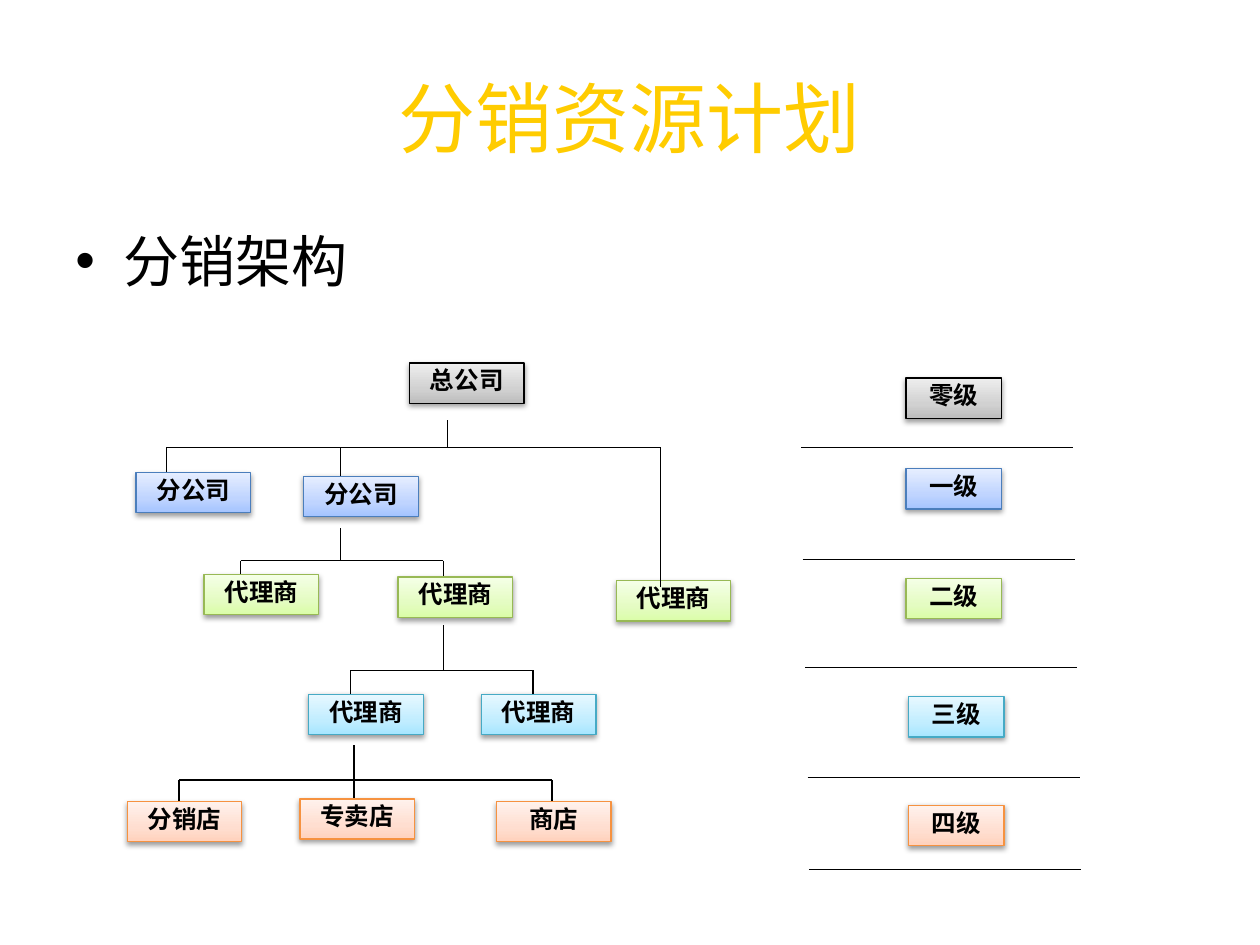
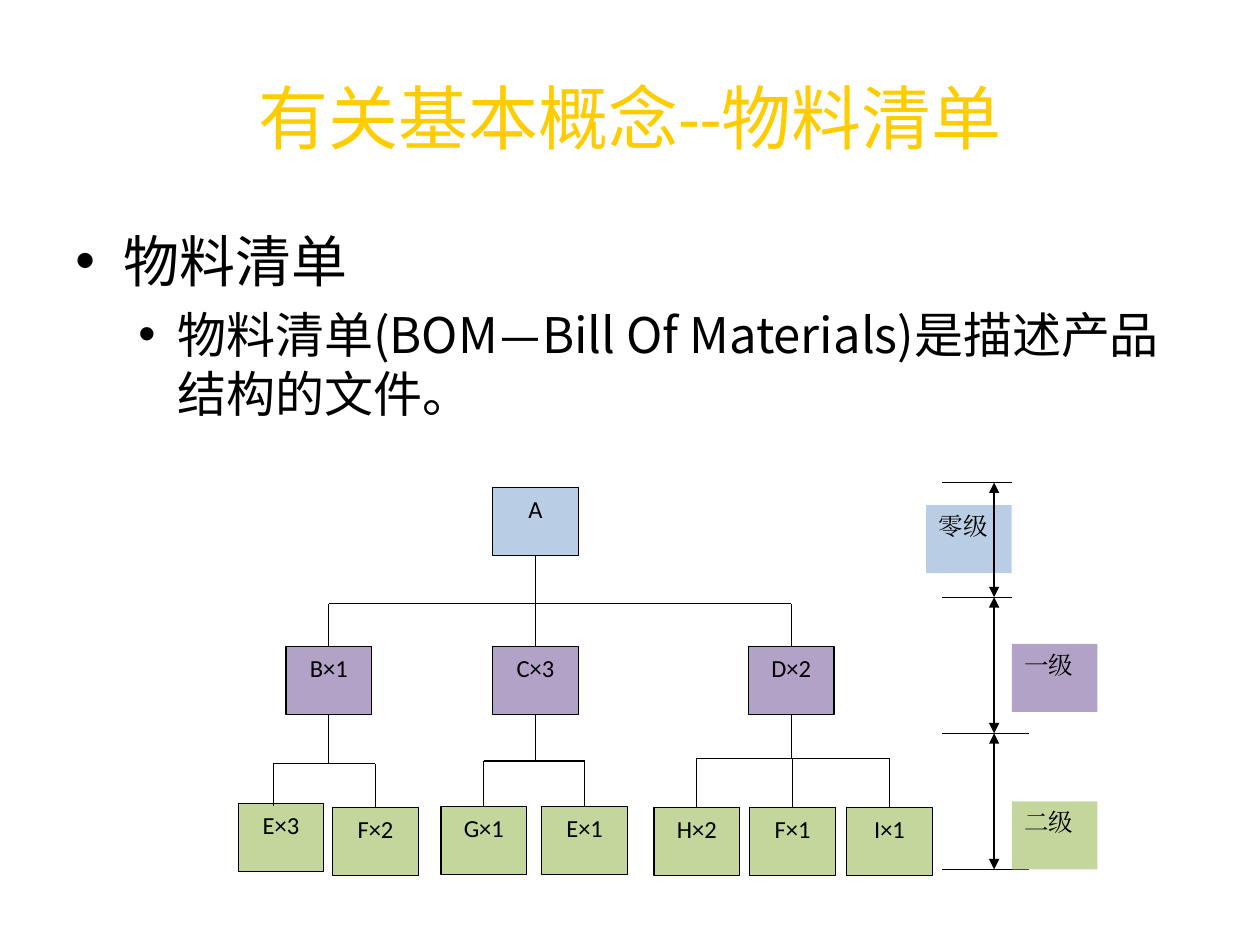
import pptx
import pptx.dml.color
import pptx.enum.shapes
import pptx.enum.text
import pptx.oxml
import pptx.oxml.ns
import pptx.util
import copy
from lxml import etree

PX = 9144
BLACK, GOLD = "000000", "FFCC00"
BLUE, PURPLE, GREEN = "B9CDE5", "B3A2C7", "C3D69B"
LATIN, CJK, MONO, SERIF = "Calibri", "Noto Sans CJK SC", "DejaVu Sans Mono", "Times New Roman"
LEVELS = [
    ("BDBDBD", "D1D1D1", "EEEEEE", BLACK),
    ("A4C4FF", "BFD4FF", "E6EEFF", "4B7EBC"),
    ("DAFDA7", "E4FCC2", "F5FFE7", "98B955"),
    ("A7E6FF", "C1EDFF", "E7F8FF", "46AAC5"),
    ("FFD2BD", "FFDED0", "FFF2ED", "F69240"),
]
ALIGN = pptx.enum.text.PP_ALIGN
RECT = pptx.enum.shapes.MSO_SHAPE.RECTANGLE
STRAIGHT = pptx.enum.shapes.MSO_CONNECTOR.STRAIGHT


def rgb(color):
    """Turn a hex string into a colour."""
    return pptx.dml.color.RGBColor.from_string(color)


def emu(*lengths):
    """Scale lengths in px to EMU."""
    return [pptx.util.Emu(n * PX) for n in lengths]


def sub(parent, tag, **attrs):
    """Append a DrawingML element."""
    return etree.SubElement(parent, pptx.oxml.ns.qn(tag), attrs)


def write(p, text, size=14, font=LATIN, color=BLACK, bold=False, align=None):
    """Add a formatted run to a paragraph."""
    if align is not None:
        p.alignment = align
    r = p.add_run()
    r.text = text
    r.font.size = pptx.util.Pt(size)
    r.font.bold = bold
    r.font.color.rgb = rgb(color)
    r.font.name = font
    sub(r.font._element, "a:ea", typeface=font)


def bullet(p, left, hang):
    """Give a paragraph a hanging round bullet."""
    pPr = p._p.get_or_add_pPr()
    pPr.set("marL", str(left * PX))
    pPr.set("indent", str(-hang * PX))
    sub(pPr, "a:buFont", typeface="Arial")
    sub(pPr, "a:buChar", char="•")


def text_box(s, x, y, w, h):
    """Add a wrapping text box and return its frame."""
    tf = s.shapes.add_textbox(*emu(x, y, w, h)).text_frame
    tf.word_wrap = True
    return tf


def title(s, text, size):
    """Add the slide title."""
    tf = text_box(s, 50, 30, 900, 125)
    tf.vertical_anchor = pptx.enum.text.MSO_ANCHOR.MIDDLE
    write(tf.paragraphs[0], text, size=size, color=GOLD, align=ALIGN.CENTER)


def body(s, heading, font, detail=()):
    """Add the bulleted heading and, below it, a detail made of (text, font) runs."""
    tf = text_box(s, 50, 175, 900, 495)
    p = tf.paragraphs[0]
    bullet(p, 38, 38)
    write(p, heading, size=32, font=font)
    if detail:
        p = tf.add_paragraph()
        p.level = 1
        p.space_before = pptx.util.Pt(6)
        bullet(p, 81, 31)
        for text, face in detail:
            write(p, text, size=28, font=face)


def rect(s, x, y, w, h, line=None):
    """Add a rectangle with top-anchored text and no shadow."""
    sp = s.shapes.add_shape(RECT, *emu(x, y, w, h))
    sp.shadow.inherit = False
    sp.text_frame.word_wrap = True
    sp.text_frame.vertical_anchor = pptx.enum.text.MSO_ANCHOR.TOP
    if line:
        sp.line.color.rgb = rgb(line)
        sp.line.width = pptx.util.Pt(0.75)
    else:
        sp.line.fill.background()
    return sp


def glossy(s, text, level, x, y, w):
    """Add a shaded, shadowed box in the colours of its level."""
    *shades, edge = LEVELS[level]
    sp = rect(s, x, y, w, 32, edge)
    sp.fill.gradient()
    sp.fill.gradient_angle = 90
    stops = sp._element.spPr.find(".//" + pptx.oxml.ns.qn("a:gsLst"))
    stops.insert(1, copy.deepcopy(stops[0]))
    for stop, shade, position in zip(sp.fill.gradient_stops, shades, (0, 0.35, 1)):
        stop.color.rgb = rgb(shade)
        stop.position = position
    effects = sp._element.spPr.find(pptx.oxml.ns.qn("a:effectLst"))
    shadow = sub(effects, "a:outerShdw", blurRad="39370", dist="20320", dir="5400000", rotWithShape="0")
    sub(sub(shadow, "a:srgbClr", val=BLACK), "a:alpha", val="38000")
    tf = sp.text_frame
    tf.margin_left, tf.margin_top, tf.margin_right, tf.margin_bottom = emu(2, 1, 2, 1)
    tf.paragraphs[0].line_spacing = 1.04
    write(tf.paragraphs[0], text, font=MONO, bold=True, align=ALIGN.CENTER)


def flat(s, text, fill, x, y, line=None, font=LATIN, align=ALIGN.CENTER):
    """Add a plain filled box and return it."""
    sp = rect(s, x, y, 68, 54, line)
    sp.fill.solid()
    sp.fill.fore_color.rgb = rgb(fill)
    write(sp.text_frame.paragraphs[0], text, font=font, align=align)
    return sp


def line(s, x1, y1, x2, y2, arrows=False):
    """Add a thin black straight connector."""
    c = s.shapes.add_connector(STRAIGHT, *emu(x1, y1, x2, y2))
    c.line.color.rgb = rgb(BLACK)
    c.line.width = pptx.util.Pt(0.75)
    if arrows:
        ln = c.line._get_or_add_ln()
        sub(ln, "a:headEnd", type="triangle")
        sub(ln, "a:tailEnd", type="triangle")
    sub(c._element.spPr, "a:effectLst")
    return c


def link(s, x, y, bar, target, side):
    """Run a vertical line from a bar to a point or a box side; return its x."""
    if isinstance(target, tuple):
        end_x, end_y = x + target[0], y + target[1]
        line(s, end_x, y + bar, end_x, end_y)
    else:
        end_x = (target.left + target.width // 2) // PX
        c = line(s, end_x, y + bar, end_x, y + bar)
        c.end_connect(target, side)
    return end_x


def branch(s, x, y, bar, parent, children):
    """Join a parent to its children through a horizontal bar."""
    link(s, x, y, bar, parent, 2)
    ends = [link(s, x, y, bar, child, 0) for child in children]
    line(s, min(ends), y + bar, max(ends), y + bar)


def distribution_tree(s, x, y):
    """Draw the sales organisation from head office to shops."""
    glossy(s, "代理商", 2, x + 389, y + 181, 91)
    for bar, parent, children in [
        (75, (255, 53), [(32, 107), (170, 108), (424, 186)]),
        (165, (170, 139), [(91, 183), (252, 186)]),
        (252, (252, 216), [(178, 279), (323, 280)]),
        (339, (181, 311), [(42, 367), (181, 361), (338, 364)]),
    ]:
        branch(s, x, y, bar, parent, children)
    for text, level, dx, dy in [
        ("总公司", 0, 225, 8),
        ("分公司", 1, 141, 98), ("分公司", 1, 8, 95),
        ("代理商", 2, 62, 176), ("代理商", 2, 216, 178),
        ("代理商", 3, 145, 271), ("代理商", 3, 282, 271),
        ("分销店", 4, 1, 356), ("专卖店", 4, 138, 354), ("商店", 4, 294, 356),
    ]:
        glossy(s, text, level, x + dx, y + dy, 91)


def distribution_levels(s, x, y):
    """Draw the level labels, each above its rule."""
    for level, (text, dx, dy, rule_x, rule_y) in enumerate([
        ("零级", 83, 0, 0, 55),
        ("一级", 83, 72, 1, 144),
        ("二级", 83, 159, 3, 230),
        ("三级", 85, 253, 5, 317),
        ("四级", 85, 339, 6, 390),
    ]):
        glossy(s, text, level, x + dx, y + dy, 76)
        line(s, x + rule_x, y + rule_y, x + rule_x + 216, y + rule_y)


def material_tree(s, x, y):
    """Draw the product structure of A."""
    def part(text, fill, dx, dy):
        """Add one outlined part."""
        return flat(s, text, fill, x + dx, y + dy, BLACK)

    a = part("A", BLUE, 202, 4)
    b, c, d = [part(t, PURPLE, dx, 130) for t, dx in [("B×1", 38), ("C×3", 202), ("D×2", 405)]]
    part("E×3", GREEN, 0, 255)
    f2, g1, e1, h2, f1, i1 = [part(t, GREEN, dx, dy) for t, dx, dy in [
        ("F×2", 75, 258), ("G×1", 161, 257), ("E×1", 241, 257),
        ("H×2", 330, 258), ("F×1", 406, 258), ("I×1", 483, 258)]]
    branch(s, x, y, 96, a, [b, c, d])
    branch(s, x, y, 223, b, [(28, 257), f2])
    branch(s, x, y, 221, c, [g1, e1])
    branch(s, x, y, 219, d, [h2, f1, i1])


def material_levels(s, x, y):
    """Draw the level scale with its double arrows."""
    rules = [(0, 68), (91, 68), (199, 82), (307, 82)]
    for dy, right in rules:
        line(s, x + 13, y + dy, x + right, y + dy)
    for text, fill, dx, dy in [("零级", BLUE, 0, 18), ("一级", PURPLE, 68, 128), ("二级", GREEN, 68, 253)]:
        flat(s, text, fill, x + dx, y + dy, font=SERIF, align=ALIGN.JUSTIFY)
    for (top, _), (bottom, _) in zip(rules, rules[1:]):
        line(s, x + 54, y + top, x + 54, y + bottom, arrows=True)


def main():
    """Build both slides and save them."""
    prs = pptx.Presentation()
    prs.slide_width, prs.slide_height = emu(1000, 750)
    blank = prs.slide_layouts[6]

    s = prs.slides.add_slide(blank)
    title(s, "分销资源计划", 44)
    body(s, "分销架构", CJK)
    distribution_tree(s, 100, 280)
    distribution_levels(s, 636, 300)

    s = prs.slides.add_slide(blank)
    title(s, "有关基本概念--物料清单", 40)
    body(s, "物料清单", LATIN, [
        ("物料清单(BOM", CJK), ("—", LATIN), ("Bill Of Materials)是描述产品结构的文件。", CJK)])
    material_levels(s, 735, 383)
    material_tree(s, 189, 383)
    prs.save("out.pptx")


if __name__ == "__main__":
    main()
